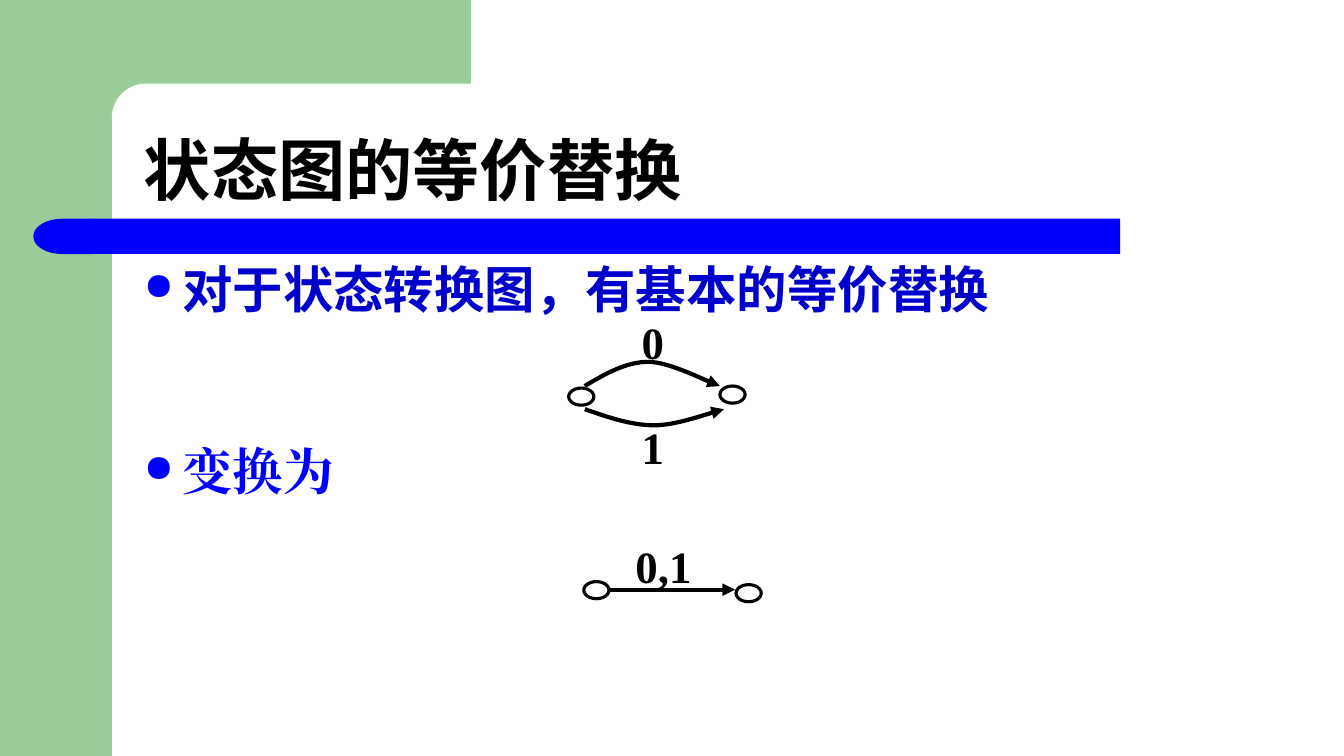
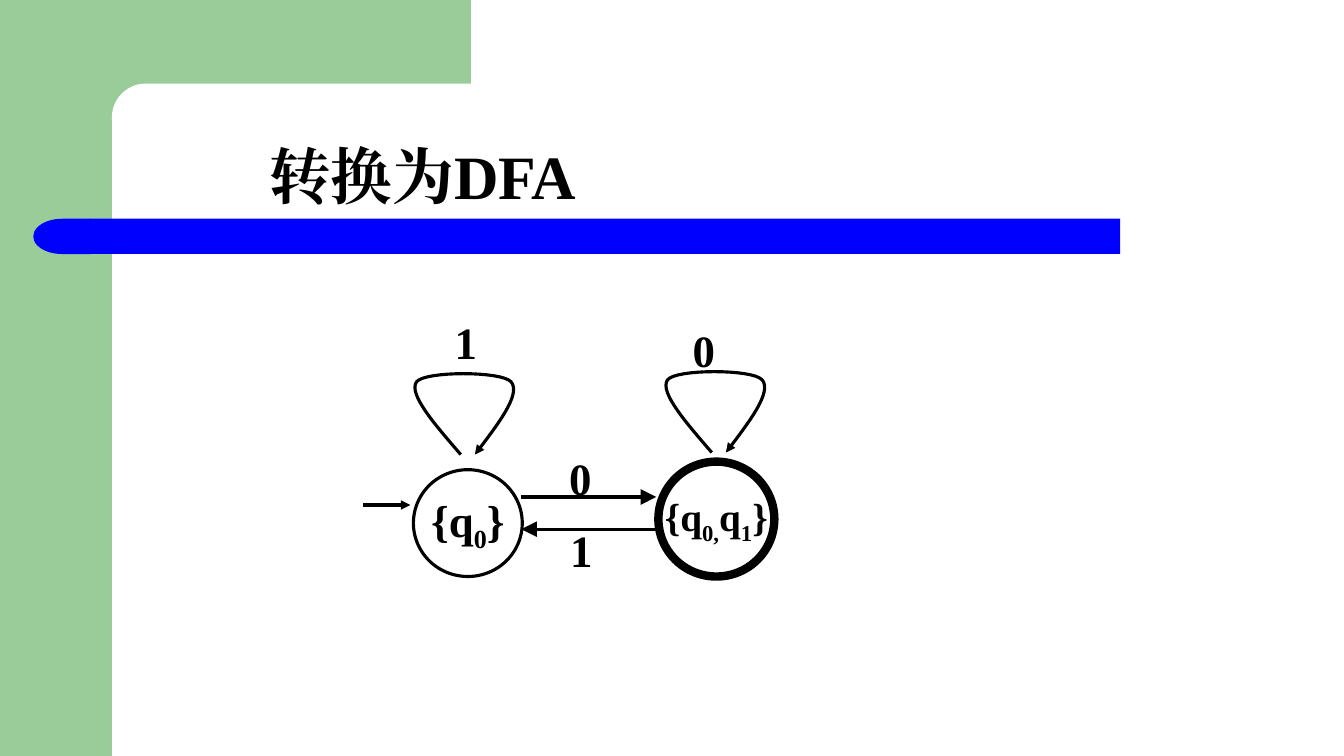
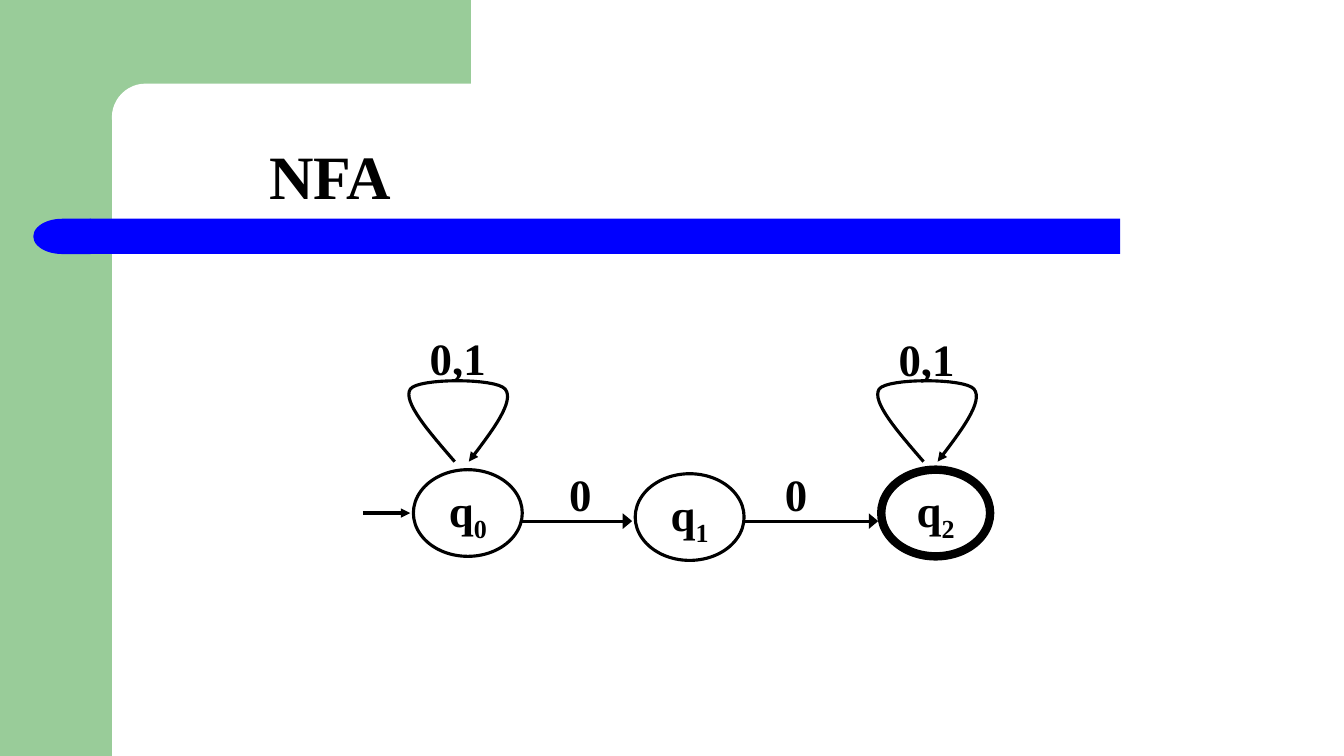
"""Three slides on equivalent replacement in state diagrams and NFA to DFA conversion."""
import lxml.etree
import pptx
import pptx.dml.color
import pptx.enum.shapes
import pptx.enum.text
import pptx.oxml.ns
import pptx.util
from pptx.util import Inches

SHAPE = pptx.enum.shapes.MSO_SHAPE
ANCHOR = pptx.enum.text.MSO_ANCHOR
ALIGN = pptx.enum.text.PP_ALIGN
qn = pptx.oxml.ns.qn

GREEN, BLUE, NAVY, BLACK, WHITE = "99CC99", "0000FF", "0000CC", "000000", "FFFFFF"
SANS, SERIF = "Noto Sans CJK SC", "Times New Roman"

BANDS = [
    (SHAPE.RECTANGLE, (0, 0, 1.11, 7.5), GREEN, 0),
    (SHAPE.RECTANGLE, (1, 0, 3.67, 1.17), GREEN, 0),
    (SHAPE.ROUNDED_RECTANGLE, (1.11, 0.83, 7.44, 0.67), WHITE, 0),
    (SHAPE.RECTANGLE, (0.89, 2.17, 10.22, 0.35), BLUE, 0),
    (SHAPE.FLOWCHART_DELAY, (0.33, 2.17, 0.57, 0.35), BLUE, 180),
]
LOOP = [(0, 0), (-0.26, -0.3), (-0.52, -0.6), (-0.44, -0.72), (-0.36, -0.83),
        (0.41, -0.83), (0.5, -0.72), (0.6, -0.6), (0.37, -0.3), (0.14, 0)]
DOT = (0.25, 0.17)
LABEL_HEIGHT = 0.54
CURVE_STEPS = 16
THIN, MEDIUM, THICK = 2.25, 3, 6

SLIDES = [
    {
        "title": ("状态图的等价替换", SANS, 48, (1.33, 0.88, 11.67, 1.25)),
        "bullets": [("对于状态转换图，有基本的等价替换", SANS, NAVY, 0),
                    ("变换为", SERIF, BLUE, 87)],
        "states": [((x, y, *DOT), THIN, 32, [])
                   for x, y in [(5.64, 3.85), (7.14, 3.83), (5.79, 5.77), (7.3, 5.8)]],
        "labels": [("0", 6.35, 3.12, 0.25), ("1", 6.35, 4.16, 0.25), ("0,1", 6.04, 5.34, 1.08)],
        "arrows": [((6.04, 5.85), (7.29, 5.85), MEDIUM, "med", "med")],
        "curves": [
            [(5.8, 3.83), (6, 3.71), (6.21, 3.59), (6.43, 3.59),
             (6.65, 3.59), (7.02, 3.79), (7.14, 3.83)],
            [(5.8, 4.06), (6.03, 4.14), (6.26, 4.22), (6.49, 4.22),
             (6.72, 4.22), (7.06, 4.09), (7.18, 4.06)],
        ],
        "loops": [],
    },
    {
        "title": ("转换为DFA", SERIF, 44, (2.57, 0.91, 8.75, 1.25)),
        "bullets": [],
        "states": [((4.1, 4.66, 1.08, 1.06), THIN, 32, ["{q", "0", "}"]),
                   ((6.53, 4.58, 1.15, 1.14), THICK, 28, ["{q", "0,", "q", "1", "}"])],
        "labels": [("1", 4.07, 3.12, 1.1), ("0", 6.43, 3.2, 1.1),
                   ("0", 5.63, 4.47, 0.25), ("1", 5.64, 5.18, 0.25)],
        "arrows": [((3.6, 5.01), (4.07, 5.01), THIN, "med", "med"),
                   ((5.17, 4.93), (6.51, 4.93), THIN, "lg", "lg"),
                   ((6.51, 5.25), (5.17, 5.25), THIN, "lg", "lg")],
        "curves": [],
        "loops": [(4.57, 4.51), (7.06, 4.49)],
    },
    {
        "title": ("NFA", SERIF, 44, (2.57, 0.91, 8.75, 1.25)),
        "bullets": [],
        "states": [((4.1, 4.66, 1.08, 0.86), THIN, 32, ["q", "0"]),
                   ((6.3, 4.7, 1.08, 0.86), THIN, 32, ["q", "1"]),
                   ((8.74, 4.66, 1.08, 0.86), THICK, 32, ["q", "2"])],
        "labels": [("0,1", 3.99, 3.28, 1.1), ("0,1", 8.64, 3.29, 1.1),
                   ("0", 5.63, 4.63, 0.25), ("0", 7.77, 4.63, 0.25)],
        "arrows": [((3.6, 5.09), (4.07, 5.09), THIN, "med", "med"),
                   ((5.17, 5.17), (6.27, 5.17), THIN, "lg", "med"),
                   ((7.38, 5.17), (8.71, 5.17), THIN, "lg", "med")],
        "curves": [],
        "loops": [(4.51, 4.58), (9.16, 4.58)],
    },
]


def rgb(value):
    return pptx.dml.color.RGBColor.from_string(value)


def inches(values):
    return [Inches(v) for v in values]


def add_run(p, text, size, font=SERIF, color=BLACK, sub=False):
    r = p.add_run()
    r.text = text
    r.font.size = pptx.util.Pt(size)
    r.font.bold = True
    r.font.name = font
    r.font.color.rgb = rgb(color)
    props = r._r.get_or_add_rPr()
    lxml.etree.SubElement(props, qn("a:ea"), typeface=font)
    if sub:
        props.set("baseline", "-25000")


def add_text_box(s, box, anchor, inset=True):
    tf = s.shapes.add_textbox(*inches(box)).text_frame
    tf.word_wrap = True
    tf.vertical_anchor = anchor
    if not inset:
        clear_insets(tf)
    return tf


def clear_insets(tf):
    tf.margin_left = tf.margin_right = tf.margin_top = tf.margin_bottom = 0


def set_line(line, width):
    line.color.rgb = rgb(BLACK)
    line.width = pptx.util.Pt(width)


def add_head(sp, width="med", length="med"):
    ln = sp.line._get_or_add_ln()
    lxml.etree.SubElement(ln, qn("a:tailEnd"), type="triangle", w=width, len=length)


def add_bands(s):
    for kind, box, color, rotation in BANDS:
        sp = s.shapes.add_shape(kind, *inches(box))
        sp.shadow.inherit = False
        sp.fill.solid()
        sp.fill.fore_color.rgb = rgb(color)
        sp.line.fill.background()
        sp.rotation = rotation
        if kind == SHAPE.ROUNDED_RECTANGLE:
            sp.adjustments[0] = 0.5


def add_title(s, text, font, size, box):
    p = add_text_box(s, box, ANCHOR.BOTTOM).paragraphs[0]
    p.line_spacing = 0.9
    add_run(p, text, size, font)


def add_bullets(s, bullets):
    tf = add_text_box(s, (1.33, 2.51, 11.67, 4.08), ANCHOR.TOP)
    for i, (text, font, color, before) in enumerate(bullets):
        p = tf.add_paragraph() if i else tf.paragraphs[0]
        props = p._p.get_or_add_pPr()
        props.set("marL", str(Inches(0.38)))
        props.set("indent", str(Inches(-0.38)))
        bullet_color = lxml.etree.SubElement(props, qn("a:buClr"))
        lxml.etree.SubElement(bullet_color, qn("a:srgbClr"), val=BLUE)
        lxml.etree.SubElement(props, qn("a:buSzPct"), val="75000")
        lxml.etree.SubElement(props, qn("a:buChar"), char="●")
        p.space_before = pptx.util.Pt(before)
        add_run(p, text, 36, font, color)


def add_state(s, box, width, size, parts):
    sp = s.shapes.add_shape(SHAPE.OVAL, *inches(box))
    sp.shadow.inherit = False
    sp.fill.background()
    set_line(sp.line, width)
    if parts:
        tf = sp.text_frame
        tf.word_wrap = False
        tf.vertical_anchor = ANCHOR.MIDDLE
        clear_insets(tf)
        p = tf.paragraphs[0]
        p.alignment = ALIGN.CENTER
        for i, part in enumerate(parts):
            add_run(p, part, size, sub=i % 2 == 1)


def add_label(s, text, left, top, width):
    tf = add_text_box(s, (left, top, width, LABEL_HEIGHT), ANCHOR.MIDDLE, inset=False)
    p = tf.paragraphs[0]
    p.alignment = ALIGN.CENTER
    add_run(p, text, 32)


def add_arrow(s, start, end, width, head_width, head_length):
    sp = s.shapes.add_connector(pptx.enum.shapes.MSO_CONNECTOR.STRAIGHT, *inches(start + end))
    set_line(sp.line, width)
    add_head(sp, head_width, head_length)
    lxml.etree.SubElement(sp._element.spPr, qn("a:effectLst"))


def bezier(points, t):
    weights = ((1 - t) ** 3, 3 * t * (1 - t) ** 2, 3 * t * t * (1 - t), t ** 3)
    return [Inches(sum(w * pt[axis] for w, pt in zip(weights, points))) for axis in (0, 1)]


def add_curve(s, points, width):
    builder = s.shapes.build_freeform(*inches(points[0]))
    vertices = [bezier(points[i:i + 4], step / CURVE_STEPS)
                for i in range(0, len(points) - 1, 3)
                for step in range(1, CURVE_STEPS + 1)]
    builder.add_line_segments(vertices, close=False)
    sp = builder.convert_to_shape()
    sp.shadow.inherit = False
    sp.fill.background()
    set_line(sp.line, width)
    add_head(sp)


def build_slide(prs, content):
    s = prs.slides.add_slide(prs.slide_layouts[6])
    add_bands(s)
    add_title(s, *content["title"])
    if content["bullets"]:
        add_bullets(s, content["bullets"])
    for state in content["states"]:
        add_state(s, *state)
    for label in content["labels"]:
        add_label(s, *label)
    for arrow in content["arrows"]:
        add_arrow(s, *arrow)
    for curve in content["curves"]:
        add_curve(s, curve, MEDIUM)
    for x, y in content["loops"]:
        add_curve(s, [(x + dx, y + dy) for dx, dy in LOOP], THIN)


def main():
    prs = pptx.Presentation()
    prs.slide_width, prs.slide_height = Inches(13.33), Inches(7.5)
    for content in SLIDES:
        build_slide(prs, content)
    prs.save("out.pptx")


if __name__ == "__main__":
    main()
